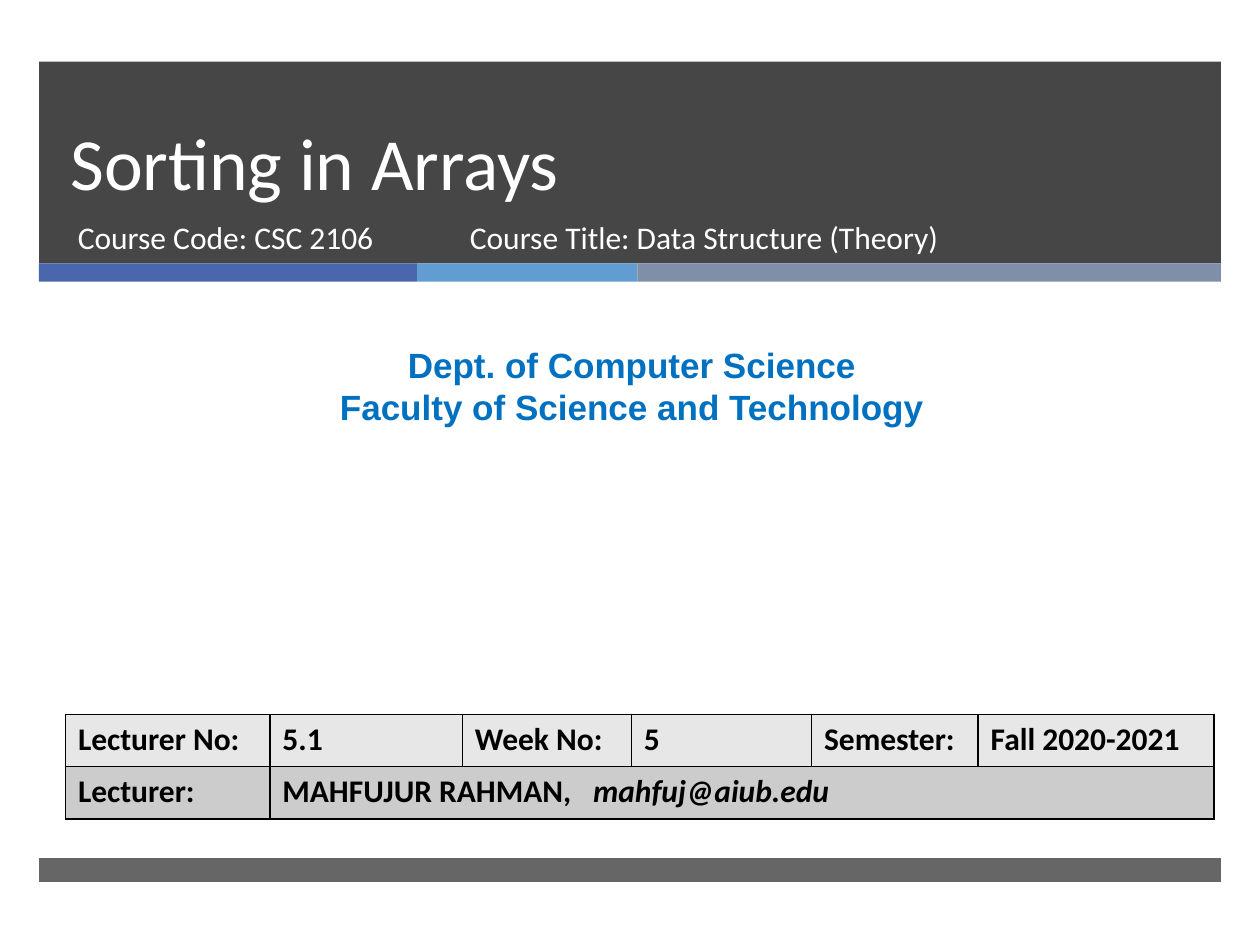
from dataclasses import dataclass
from itertools import accumulate

from lxml import etree
from pptx import Presentation
from pptx import util as u
from pptx.dml.color import RGBColor
from pptx.enum import shapes, text
from pptx.oxml import ns
from pptx.slide import Slide
from pptx.table import _Cell as Cell

WHITE = RGBColor(0xFF, 0xFF, 0xFF)
BLACK = RGBColor(0, 0, 0)
CHARCOAL = RGBColor(0x26, 0x26, 0x26)
INDIGO = RGBColor(0x4A, 0x66, 0xAC)
SKY = RGBColor(0x62, 0x9D, 0xD1)
SLATE = RGBColor(0x7F, 0x8F, 0xA9)
BLUE = RGBColor(0, 0x70, 0xC0)
LIGHT_GRAY = RGBColor(0xE7, 0xE7, 0xE7)
MID_GRAY = RGBColor(0xCC, 0xCC, 0xCC)

BAND_LEFT = 22.3
BAND_WIDTH = 675.4
ACCENT_TOP = 150.5


@dataclass
class Band:
    left: float
    top: float
    width: float
    height: float
    color: RGBColor
    opacity: int = 100


@dataclass
class Label:
    left: float
    top: float
    width: float
    height: float
    lines: tuple[str, ...]
    size: float = 18
    font: str = "Calibri"
    color: RGBColor = WHITE
    bold: bool = False
    align: text.PP_ALIGN = text.PP_ALIGN.LEFT
    anchor: text.MSO_ANCHOR = text.MSO_ANCHOR.TOP
    spacing: float | None = None


ACCENTS = ((216, INDIGO), (126, SKY), (333.4, SLATE))
ACCENT_LEFTS = accumulate((width for width, _ in ACCENTS), initial=BAND_LEFT)
BANDS = [
    Band(BAND_LEFT, 35.2, BAND_WIDTH, ACCENT_TOP - 35.2, CHARCOAL, 85),
    *(Band(left, ACCENT_TOP, width, 10.5, color)
      for left, (width, color) in zip(ACCENT_LEFTS, ACCENTS)),
    Band(BAND_LEFT, 490.3, BAND_WIDTH, 13.7, CHARCOAL, 70),
]
LABELS = [
    Label(33.1, 35.3, 615, 85.7, ("Sorting in Arrays",), size=42,
          anchor=text.MSO_ANCHOR.BOTTOM, spacing=46),
    Label(37.4, 121, 219.6, 38.2, ("Course Code: CSC 2106",)),
    Label(5.8, 193, 710.6, 55.4,
          ("Dept. of Computer Science", "Faculty of Science and Technology"),
          size=20, font="Arial", color=BLUE, bold=True, align=text.PP_ALIGN.CENTER),
    Label(261.4, 121.3, 327.6, 38.2, ("Course Title: Data Structure (Theory)",)),
]

COLUMN_WIDTHS = (116.8, 110, 96.6, 103, 95.2, 134.8)
ROW_HEIGHT = 29.9
LECTURE_ROW = ("Lecturer No:", "5.1", "Week No:", "5", "Semester:", "Fall 2020-2021")
EMAIL_TAB = 177.5


def draw_band(page: Slide, band: Band) -> None:
    shape = page.shapes.add_shape(
        shapes.MSO_SHAPE.RECTANGLE,
        u.Pt(band.left), u.Pt(band.top), u.Pt(band.width), u.Pt(band.height))
    shape.shadow.inherit = False
    shape.line.fill.background()
    shape.fill.solid()
    shape.fill.fore_color.rgb = band.color
    if band.opacity < 100:
        color = shape._element.spPr.find(".//" + ns.qn("a:srgbClr"))
        etree.SubElement(color, ns.qn("a:alpha"), val=str(band.opacity * 1000))


def draw_label(page: Slide, label: Label) -> None:
    box = page.shapes.add_textbox(
        u.Pt(label.left), u.Pt(label.top), u.Pt(label.width), u.Pt(label.height))
    frame = box.text_frame
    frame.word_wrap = True
    frame.vertical_anchor = label.anchor
    frame.text = "\n".join(label.lines)
    for para in frame.paragraphs:
        para.alignment = label.align
        if label.spacing:
            para.line_spacing = u.Pt(label.spacing)
        para.font.size = u.Pt(label.size)
        para.font.name = label.font
        para.font.bold = label.bold
        para.font.color.rgb = label.color


def style_cell(cell: Cell, fill: RGBColor) -> None:
    properties = cell._tc.get_or_add_tcPr()
    for side in ("lnL", "lnR", "lnT", "lnB"):
        line = etree.SubElement(properties, ns.qn(f"a:{side}"), w=str(u.Pt(1)))
        solid = etree.SubElement(line, ns.qn("a:solidFill"))
        etree.SubElement(solid, ns.qn("a:srgbClr"), val=str(BLACK))
    cell.fill.solid()
    cell.fill.fore_color.rgb = fill
    para = cell.text_frame.paragraphs[0]
    para.font.size = u.Pt(18)
    para.font.name = "Calibri"
    para.font.bold = True
    para.font.color.rgb = BLACK


def draw_lecture_table(page: Slide) -> None:
    table = page.shapes.add_table(
        2, len(COLUMN_WIDTHS), u.Pt(37.4), u.Pt(408.2),
        u.Pt(sum(COLUMN_WIDTHS)), u.Pt(2 * ROW_HEIGHT)).table
    for column, width in zip(table.columns, COLUMN_WIDTHS):
        column.width = u.Pt(width)
    for row in table.rows:
        row.height = u.Pt(ROW_HEIGHT)
    for index, words in enumerate(LECTURE_ROW):
        table.cell(0, index).text = words
    table.cell(1, 0).text = "Lecturer:"
    lecturer = table.cell(1, 1)
    lecturer.merge(table.cell(1, 5))
    para = lecturer.text_frame.paragraphs[0]
    tabs = etree.SubElement(para._p.get_or_add_pPr(), ns.qn("a:tabLst"))
    etree.SubElement(tabs, ns.qn("a:tab"), pos=str(u.Pt(EMAIL_TAB)), algn="l")
    para.add_run().text = "MAHFUJUR RAHMAN,\t"
    span = para.add_run()
    span.text = "mahfuj@aiub.edu"
    span.font.italic = True
    for row, fill in zip(table.rows, (LIGHT_GRAY, MID_GRAY)):
        for cell in row.cells:
            style_cell(cell, fill)


def main() -> None:
    deck = Presentation()
    deck.slide_width, deck.slide_height = u.Pt(720), u.Pt(540)
    page = deck.slides.add_slide(deck.slide_layouts[6])
    for band in BANDS:
        draw_band(page, band)
    for label in LABELS:
        draw_label(page, label)
    draw_lecture_table(page)
    deck.save("out.pptx")


if __name__ == "__main__":
    main()
